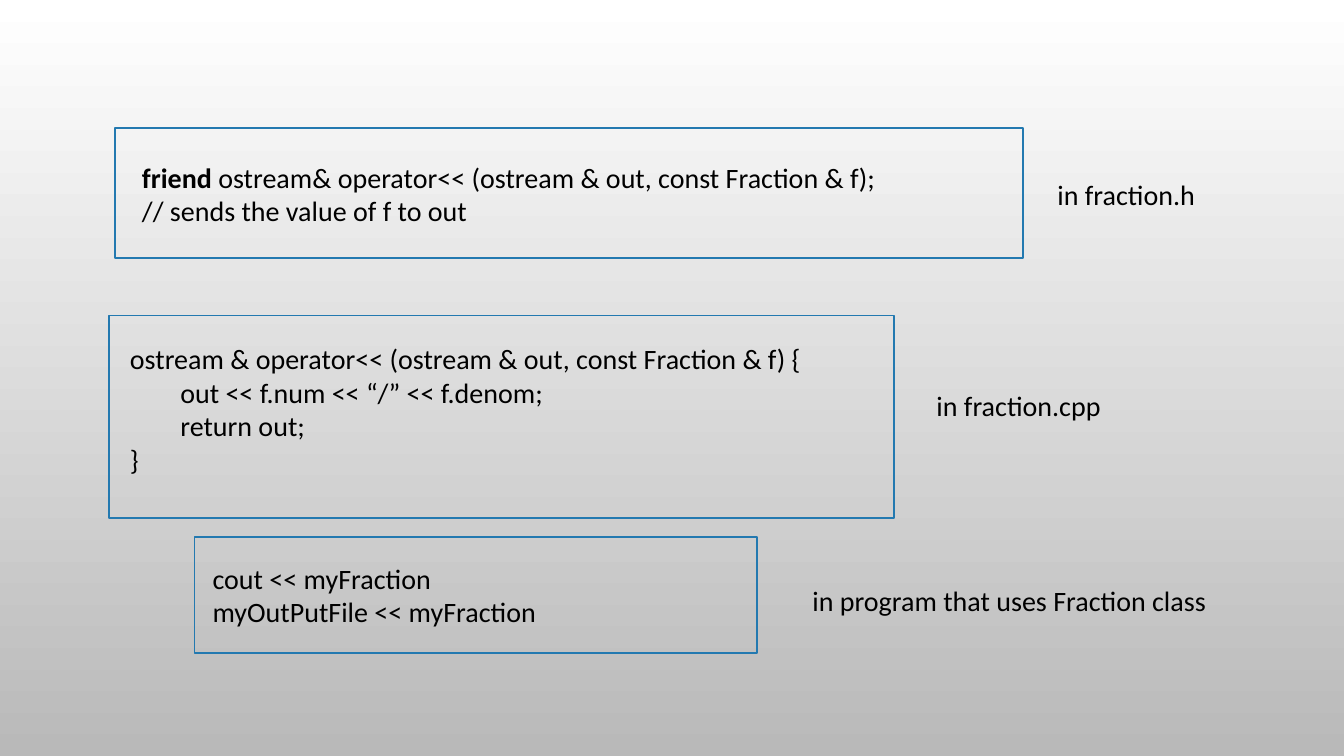
from pptx import Presentation
from pptx.dml.color import RGBColor
from pptx.enum.shapes import MSO_SHAPE
from pptx.enum.text import MSO_AUTO_SIZE
from pptx.util import Inches, Pt

COLORS = {"top": "FFFFFF", "bottom": "B9B9B9", "frame": "2379B0", "text": "000000"}
FONT = "Calibri"
KEYWORD = "friend "

# Places are left, top, width, height in inches.
SECTIONS = [
    {
        "code": [
            "friend ostream& operator<< (ostream & out, const Fraction & f);",
            "// sends the value of f to out",
        ],
        "code_at": (1.31, 1.54, 8.9, 0.77),
        "frame_at": (1.14, 1.27, 9.01, 1.29),
        "label": "in fraction.h",
        "label_at": (10.39, 1.71, 1.73, 0.44),
    },
    {
        "code": [
            "ostream & operator<< (ostream & out, const Fraction & f) {",
            "\tout << f.num << “/” << f.denom;",
            "\treturn out;",
            "}",
        ],
        "code_at": (1.19, 3.34, 7.88, 1.45),
        "frame_at": (1.08, 3.13, 7.79, 2.01),
        "label": "in fraction.cpp",
        "label_at": (9.19, 3.81, 2.14, 0.44),
    },
    {
        "code": ["cout << myFraction", "myOutPutFile << myFraction"],
        "code_at": (2.01, 5.52, 5.41, 0.77),
        "frame_at": (1.93, 5.33, 5.58, 1.15),
        "label": "in program that uses Fraction class",
        "label_at": (7.96, 5.74, 4.36, 0.44),
    },
]


def color(name):
    return RGBColor.from_string(COLORS[name])


def add_lines(page, lines, place):
    """Add a text box with one paragraph per line, the keyword in bold."""
    box = page.shapes.add_textbox(*map(Inches, place))
    frame = box.text_frame
    frame.word_wrap = True
    frame.auto_size = MSO_AUTO_SIZE.SHAPE_TO_FIT_TEXT
    for index, line in enumerate(lines):
        para = frame.add_paragraph() if index else frame.paragraphs[0]
        para.font.name = FONT
        para.font.size = Pt(20)
        para.font.color.rgb = color("text")
        if line.startswith(KEYWORD):
            span = para.add_run()
            span.text = KEYWORD
            span.font.bold = True
        para.add_run().text = line.removeprefix(KEYWORD)


def add_frame(page, place):
    frame = page.shapes.add_shape(MSO_SHAPE.RECTANGLE, *map(Inches, place))
    frame.shadow.inherit = False
    frame.fill.background()
    frame.line.color.rgb = color("frame")
    frame.line.width = Pt(1.25)


def main():
    deck = Presentation()
    deck.slide_width, deck.slide_height = Inches(13.33), Inches(7.5)
    page = deck.slides.add_slide(deck.slide_layouts[6])

    fill = page.background.fill
    fill.gradient()
    fill.gradient_angle = 270
    for stop, name, position in zip(fill.gradient_stops, ("top", "bottom"), (0, 1)):
        stop.color.rgb = color(name)
        stop.position = position

    for section in SECTIONS:
        add_lines(page, section["code"], section["code_at"])
        add_frame(page, section["frame_at"])
        add_lines(page, [section["label"]], section["label_at"])

    deck.save("out.pptx")


if __name__ == "__main__":
    main()
